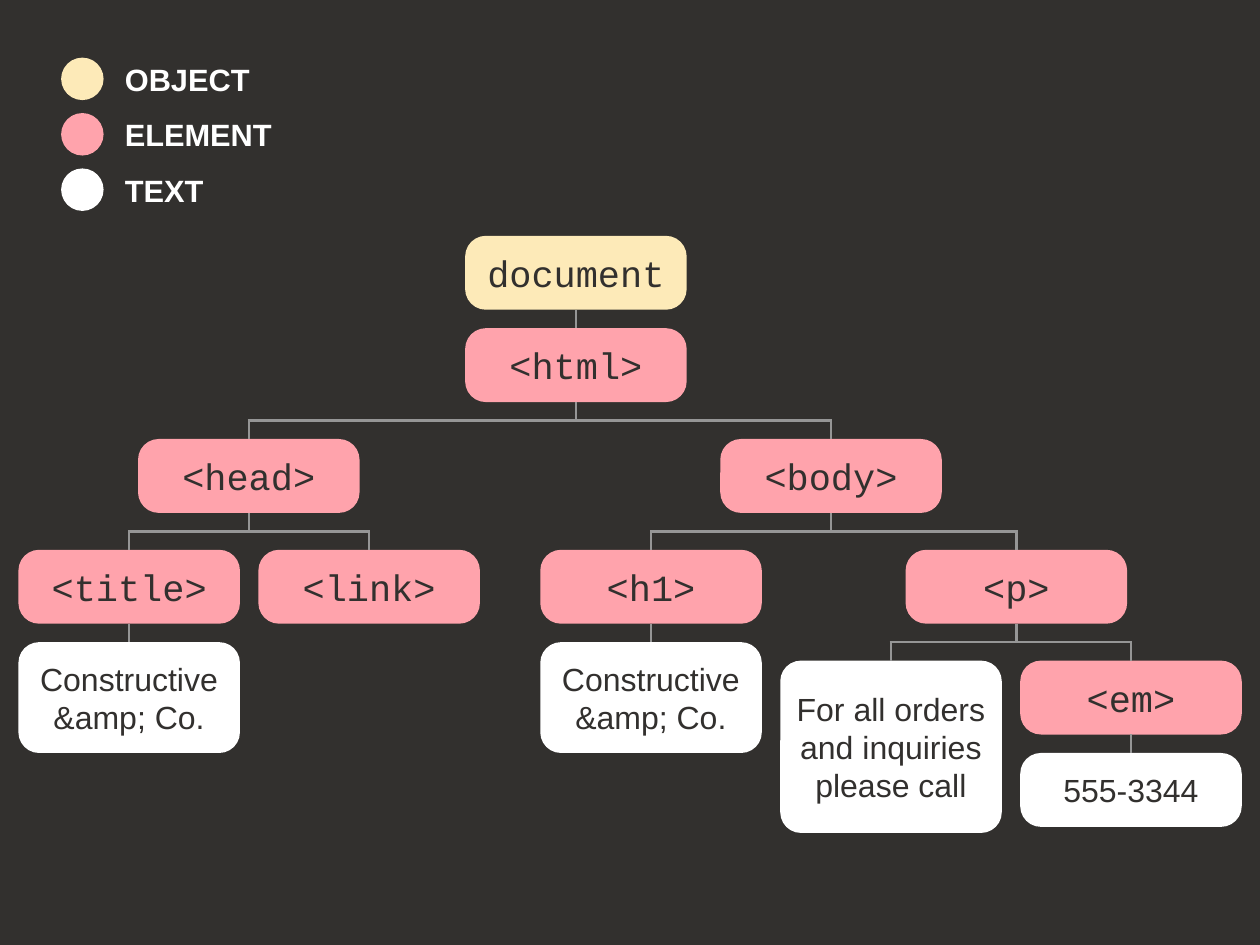
from lxml.etree import SubElement
from pptx import Presentation
from pptx.dml.color import RGBColor
from pptx.enum.shapes import MSO_CONNECTOR, MSO_SHAPE
from pptx.enum.text import MSO_ANCHOR, PP_ALIGN
from pptx.oxml.ns import qn
from pptx.util import Inches, Pt

DARK = RGBColor(0x32, 0x30, 0x2E)
CREAM = RGBColor(0xFD, 0xEA, 0xB8)
PINK = RGBColor(0xFF, 0xA3, 0xAC)
WHITE = RGBColor(0xFF, 0xFF, 0xFF)
GREY = RGBColor(0x96, 0x96, 0x96)

UNIT = Inches(5) / 24  # one grid column or row
NODE_WIDTH, NODE_HEIGHT, CORNER = 12, 4, 1.12
TREE_TOP = 12.77
BUS_OVERHANG = 0.07  # half a line width, squares the corners


def grid(units):
    return round(units * UNIT)


class TreeSlide:
    """Holds the style and the slide; lengths are in grid units."""

    def __init__(self, slide):
        self.slide = slide
        self.shapes = slide.shapes
        slide.background.fill.solid()
        slide.background.fill.fore_color.rgb = DARK

    def shape(self, kind, left, top, width, height, color):
        shape = self.shapes.add_shape(kind, *map(grid, (left, top, width, height)))
        shape.shadow.inherit = False
        shape.fill.solid()
        shape.fill.fore_color.rgb = color
        shape.line.fill.background()
        return shape

    def set_text(self, shape, text, font_name, size, color, inset=0, bold=False,
                 align=PP_ALIGN.CENTER):
        frame = shape.text_frame
        frame.word_wrap = True
        frame.vertical_anchor = MSO_ANCHOR.MIDDLE
        frame.margin_left = frame.margin_right = inset
        frame.margin_top = frame.margin_bottom = inset
        paragraph = frame.paragraphs[0]
        paragraph.text = text
        paragraph.alignment = align
        font = paragraph.font
        font.name, font.size, font.bold = font_name, Pt(size), bold
        font.color.rgb = color

    def node(self, text, center, row, color=PINK, height=NODE_HEIGHT):
        node = self.shape(MSO_SHAPE.ROUNDED_RECTANGLE, center - NODE_WIDTH / 2,
                          TREE_TOP + row, NODE_WIDTH, height, color)
        node.adjustments[0] = CORNER / height
        if color == WHITE:
            self.set_text(node, text, "Arial", 26, DARK)
        else:
            self.set_text(node, text, "Courier New", 30, DARK)
        return node

    def line(self, x1, y1, x2, y2):
        line = self.shapes.add_connector(MSO_CONNECTOR.STRAIGHT, x1, y1, x2, y2)
        line.line.color.rgb = GREY
        line.line.width = Pt(2)
        SubElement(line._element.spPr, qn("a:effectLst"))
        return line

    def branch(self, parent, children):
        """Joins a parent to one child directly, or to several over a bus."""
        parent_x = parent.left + parent.width // 2
        parent_y = parent.top + parent.height
        if len(children) == 1:
            link = self.line(parent_x, parent_y, parent_x, children[0].top)
            link.begin_connect(parent, 2)
            link.end_connect(children[0], 0)
            return
        bus_y = parent_y + grid(1)
        self.line(parent_x, parent_y, parent_x, bus_y).begin_connect(parent, 2)
        centers = [child.left + child.width // 2 for child in children]
        for child, x in zip(children, centers):
            self.line(x, bus_y, x, child.top).end_connect(child, 0)
        overhang = grid(BUS_OVERHANG)
        self.line(min(centers) - overhang, bus_y, max(centers) + overhang, bus_y)

    def legend_entry(self, text, row, color):
        self.shape(MSO_SHAPE.OVAL, 3.31, 3.12 + row, 2.3, 2.3, color)
        label = self.shapes.add_textbox(*map(grid, (6.48, 3.02 + row, 9, 2.54)))
        self.set_text(label, text, "Arial", 25, WHITE, Inches(0.06), True, PP_ALIGN.LEFT)


def main():
    presentation = Presentation()
    presentation.slide_width = Inches(14.22)
    presentation.slide_height = Inches(10.66)
    tree = TreeSlide(presentation.slides.add_slide(presentation.slide_layouts[6]))

    # Legend
    for index, (label, color) in enumerate(
            [("OBJECT", CREAM), ("ELEMENT", PINK), ("TEXT", WHITE)]):
        tree.legend_entry(label, 3 * index, color)

    # Document tree: text, centre column, row, colour, height
    document = tree.node("document", 31.2, 0, CREAM)
    html = tree.node("<html>", 31.2, 5)
    head = tree.node("<head>", 13.48, 11)
    body = tree.node("<body>", 45.02, 11)
    title = tree.node("<title>", 7, 17)
    link = tree.node("<link>", 20, 17)
    heading = tree.node("<h1>", 35.27, 17)
    paragraph = tree.node("<p>", 55.06, 17)
    title_text = tree.node("Constructive &amp; Co.", 7, 22, WHITE, 6)
    heading_text = tree.node("Constructive &amp; Co.", 35.27, 22, WHITE, 6)
    orders_text = tree.node("For all orders and inquiries please call",
                            48.27, 23, WHITE, 9.33)
    emphasis = tree.node("<em>", 61.27, 23)
    phone_text = tree.node("555-3344", 61.27, 28, WHITE)

    # Branches
    for parent, children in [
        (document, [html]),
        (html, [head, body]),
        (head, [title, link]),
        (body, [heading, paragraph]),
        (title, [title_text]),
        (heading, [heading_text]),
        (paragraph, [orders_text, emphasis]),
        (emphasis, [phone_text]),
    ]:
        tree.branch(parent, children)

    presentation.save("out.pptx")


if __name__ == "__main__":
    main()
